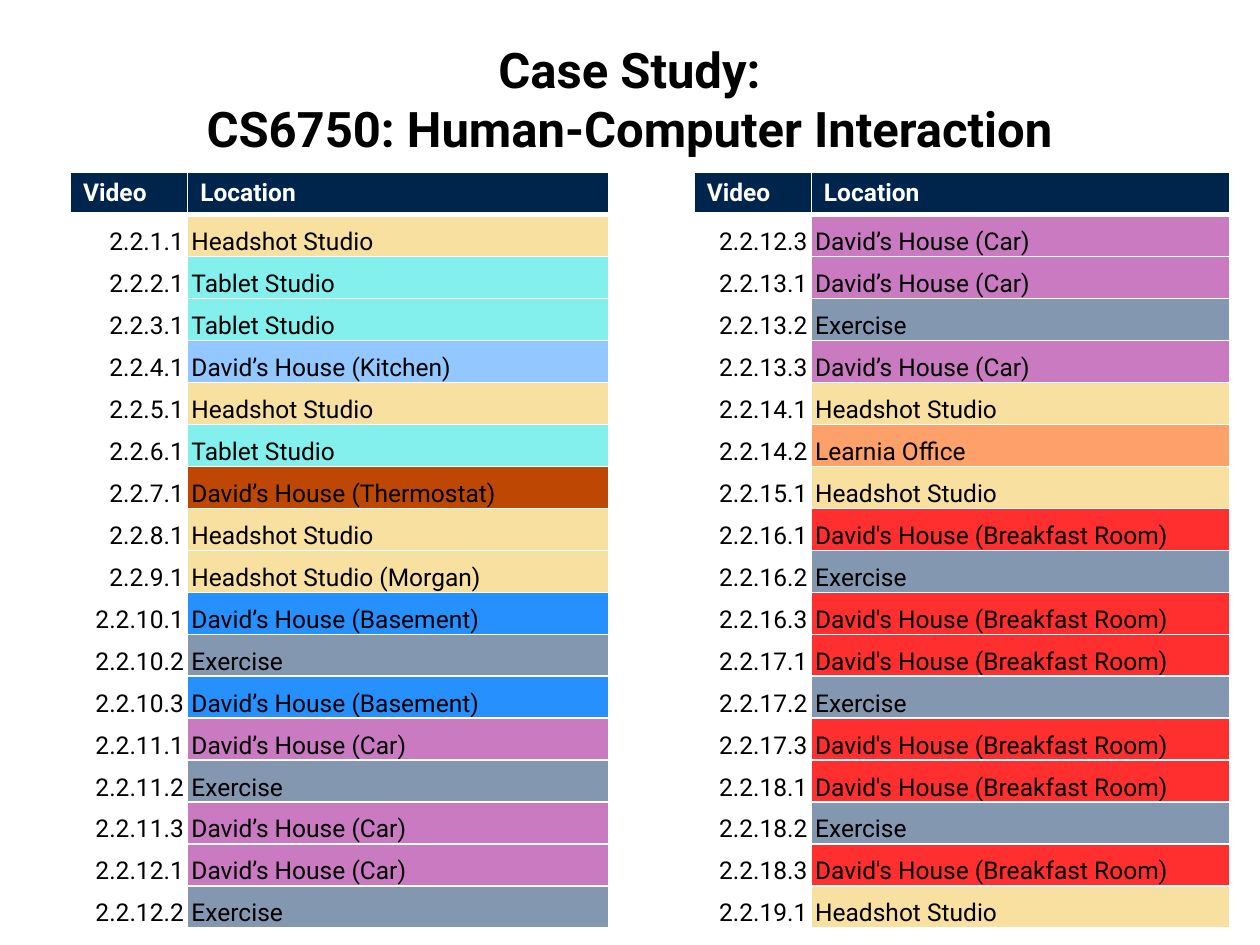
from dataclasses import dataclass

from lxml import etree
from pptx import Presentation
from pptx.dml.color import RGBColor
from pptx.enum.text import MSO_ANCHOR, MSO_AUTO_SIZE, PP_ALIGN
from pptx.oxml.ns import qn
from pptx.util import Inches, Pt

LEFT, CENTER, RIGHT = PP_ALIGN.LEFT, PP_ALIGN.CENTER, PP_ALIGN.RIGHT
TOP, MIDDLE, BOTTOM = MSO_ANCHOR.TOP, MSO_ANCHOR.MIDDLE, MSO_ANCHOR.BOTTOM
NO_AUTOFIT = MSO_AUTO_SIZE.NONE
TITLE_ONLY = 5


@dataclass(frozen=True)
class Theme:
    font: str = "Roboto"
    title_size: int = 28
    table_size: int = 14
    ink: str = "000000"
    paper: str = "FFFFFF"
    header: str = "00254C"
    rule: int = 1
    header_rule: int = 3


THEME = Theme()

# Fill of each filming location
LOCATION_FILLS = {
    "Headshot Studio": "F8E0A0",
    "Headshot Studio (Morgan)": "F8E0A0",
    "Tablet Studio": "84F0ED",
    "David’s House (Kitchen)": "93C7FF",
    "David’s House (Thermostat)": "BE4803",
    "David’s House (Basement)": "2690FF",
    "David’s House (Car)": "CA7AC1",
    "David's House (Breakfast Room)": "FF2F2F",
    "Learnia Office": "FDA06A",
    "Exercise": "8497B0",
}

# Videos in order; the first half fills the left side
VIDEOS = [
    ("2.2.1.1", "Headshot Studio"),
    ("2.2.2.1", "Tablet Studio"),
    ("2.2.3.1", "Tablet Studio"),
    ("2.2.4.1", "David’s House (Kitchen)"),
    ("2.2.5.1", "Headshot Studio"),
    ("2.2.6.1", "Tablet Studio"),
    ("2.2.7.1", "David’s House (Thermostat)"),
    ("2.2.8.1", "Headshot Studio"),
    ("2.2.9.1", "Headshot Studio (Morgan)"),
    ("2.2.10.1", "David’s House (Basement)"),
    ("2.2.10.2", "Exercise"),
    ("2.2.10.3", "David’s House (Basement)"),
    ("2.2.11.1", "David’s House (Car)"),
    ("2.2.11.2", "Exercise"),
    ("2.2.11.3", "David’s House (Car)"),
    ("2.2.12.1", "David’s House (Car)"),
    ("2.2.12.2", "Exercise"),
    ("2.2.12.3", "David’s House (Car)"),
    ("2.2.13.1", "David’s House (Car)"),
    ("2.2.13.2", "Exercise"),
    ("2.2.13.3", "David’s House (Car)"),
    ("2.2.14.1", "Headshot Studio"),
    ("2.2.14.2", "Learnia Office"),
    ("2.2.15.1", "Headshot Studio"),
    ("2.2.16.1", "David's House (Breakfast Room)"),
    ("2.2.16.2", "Exercise"),
    ("2.2.16.3", "David's House (Breakfast Room)"),
    ("2.2.17.1", "David's House (Breakfast Room)"),
    ("2.2.17.2", "Exercise"),
    ("2.2.17.3", "David's House (Breakfast Room)"),
    ("2.2.18.1", "David's House (Breakfast Room)"),
    ("2.2.18.2", "Exercise"),
    ("2.2.18.3", "David's House (Breakfast Room)"),
    ("2.2.19.1", "Headshot Studio"),
]

COLUMN_WIDTHS = (0.93, 3.34, 0.68, 0.93, 3.32)
GAP_COLUMN = 2
SIDE_STARTS = (0, 3)


def style_paragraph(para, size, color, bold, align):
    para.alignment = align
    para.font.name = THEME.font
    para.font.size = Pt(size)
    para.font.bold = bold
    para.font.color.rgb = RGBColor.from_string(color)


def add_title(page, lines):
    title = page.shapes.title
    title.left, title.top = Inches(1.02), Inches(0.26)
    title.width, title.height = Inches(7.95), Inches(1.04)
    frame = title.text_frame
    frame.auto_size = NO_AUTOFIT
    frame.vertical_anchor = MIDDLE
    frame.text = "\n".join(lines)
    for para in frame.paragraphs:
        style_paragraph(para, THEME.title_size, THEME.ink, True, CENTER)


def set_borders(cell, top, bottom):
    properties = cell._tc.get_or_add_tcPr()
    widths = {"a:lnL": THEME.rule, "a:lnR": THEME.rule, "a:lnT": top, "a:lnB": bottom}
    for tag, width in widths.items():
        line = etree.SubElement(properties, qn(tag), w=str(Pt(width)))
        fill = etree.SubElement(line, qn("a:solidFill"))
        etree.SubElement(fill, qn("a:srgbClr"), val=THEME.paper)


def set_fill(cell, color):
    cell.fill.solid()
    cell.fill.fore_color.rgb = RGBColor.from_string(color)


def set_margins(cell, side):
    cell.margin_left = cell.margin_right = Inches(side)
    cell.margin_top = cell.margin_bottom = 0


def fill_header(cell, label):
    set_borders(cell, THEME.rule, THEME.header_rule)
    set_fill(cell, THEME.header)
    cell.vertical_anchor = TOP
    cell.text = label
    style_paragraph(cell.text_frame.paragraphs[0], THEME.table_size, THEME.paper, True, LEFT)


def fill_entry(cell, label, color, align, top):
    set_borders(cell, top, THEME.rule)
    set_fill(cell, color)
    set_margins(cell, 0.03)
    cell.vertical_anchor = BOTTOM
    cell.text = label
    style_paragraph(cell.text_frame.paragraphs[0], THEME.table_size, THEME.ink, False, align)


def add_video_table(page):
    half = len(VIDEOS) // len(SIDE_STARTS)
    frame = page.shapes.add_table(
        half + 1, len(COLUMN_WIDTHS),
        Inches(0.56), Inches(1.37), Inches(sum(COLUMN_WIDTHS)), Inches(6),
    )
    table = frame.table
    table.first_row = table.horz_banding = False
    for column, width in zip(table.columns, COLUMN_WIDTHS):
        column.width = Inches(width)

    # Blank column between the two sides
    for row in range(half + 1):
        gap = table.cell(row, GAP_COLUMN)
        set_fill(gap, THEME.paper)
        set_margins(gap, 0)

    # Header and entries of each side
    for side, start in enumerate(SIDE_STARTS):
        fill_header(table.cell(0, start), "Video")
        fill_header(table.cell(0, start + 1), "Location")
        entries = VIDEOS[side * half:(side + 1) * half]
        for row, (video, location) in enumerate(entries, start=1):
            top = THEME.header_rule if row == 1 else THEME.rule
            fill_entry(table.cell(row, start), video, THEME.paper, RIGHT, top)
            fill_entry(table.cell(row, start + 1), location, LOCATION_FILLS[location], LEFT, top)


def main():
    deck = Presentation()
    deck.slide_width, deck.slide_height = Inches(10), Inches(7.5)
    page = deck.slides.add_slide(deck.slide_layouts[TITLE_ONLY])
    add_title(page, ["Case Study:", "CS6750: Human-Computer Interaction"])
    add_video_table(page)
    deck.save("out.pptx")


if __name__ == "__main__":
    main()
